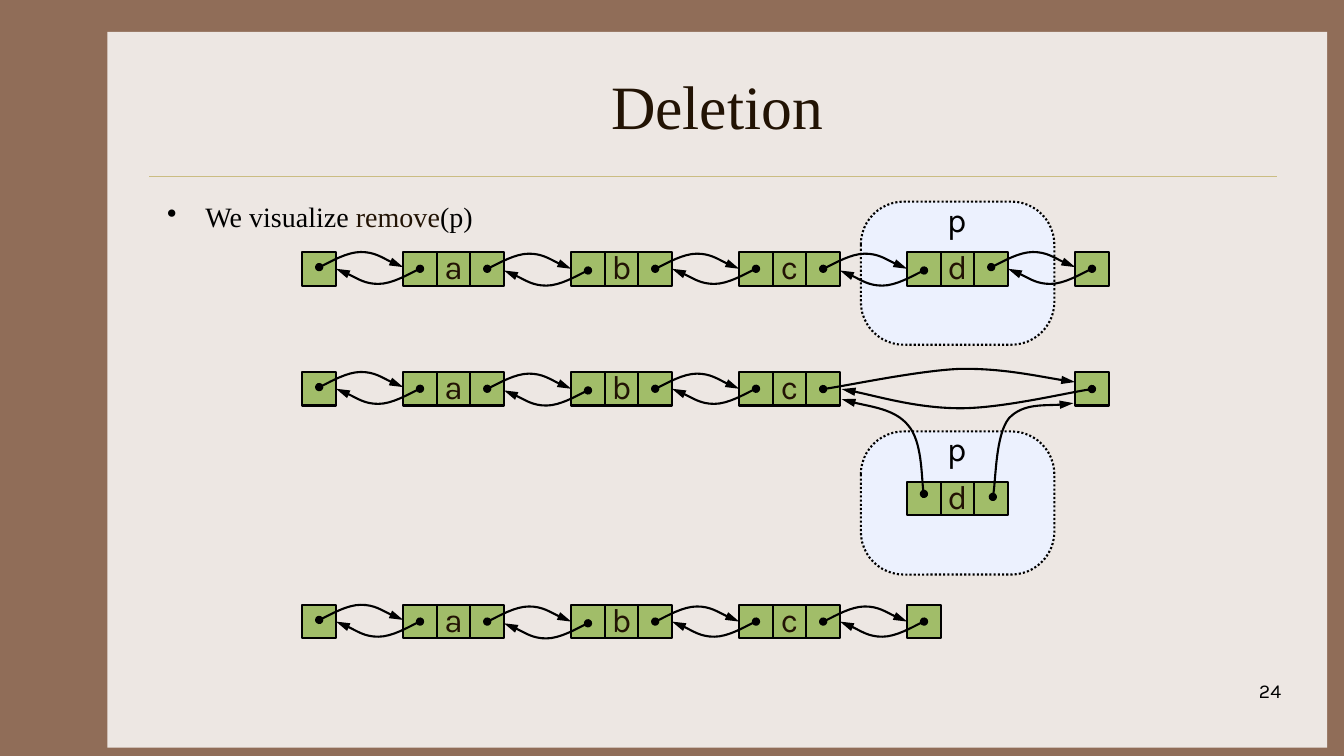
from dataclasses import dataclass

from lxml.etree import SubElement
from pptx import Presentation
from pptx.dml.color import RGBColor
from pptx.enum.dml import MSO_LINE_DASH_STYLE as Dash
from pptx.enum.shapes import MSO_CONNECTOR as Connector, MSO_SHAPE as Shape
from pptx.enum.text import MSO_ANCHOR as Anchor, PP_ALIGN as Align
from pptx.oxml.ns import qn
from pptx.util import Emu, Inches, Pt

COLOURS = {
    "border": "906D58",
    "paper": "EDE7E3",
    "rule": "CBBD83",
    "ink": "221304",
    "black": "000000",
    "panel": "ECF1FE",
    "cell": "A1BD69",
}
SERIF, SANS = "Times New Roman", "Karla"
COLS, ROWS = 40, 22.5
ARC = [(0, 0), (0.2, -0.08), (0.83, -0.45), (1.24, -0.45), (1.65, -0.45), (2.24, -0.08), (2.5, 0)]

Point = tuple[float, float]


@dataclass
class Node:
    col: float
    row: float
    label: str = ""


@dataclass
class Link:
    col: float
    row: float
    out: float = 0.5
    back: float = 0.5


@dataclass
class Panel:
    col: float
    row: float


@dataclass
class Label:
    text: str
    col: float
    row: float
    width: float
    height: float
    size: int
    font: str = SANS
    colour: str = "black"
    align: Align = Align.CENTER
    anchor: Anchor = Anchor.TOP
    wrap: bool = True


def grid(n: float) -> Emu:
    return Inches(n / 3)


def rgb(name: str) -> RGBColor:
    return RGBColor.from_string(COLOURS[name])


def draw_box(shapes, kind: Shape, col: float, row: float, width: float, height: float,
             fill: str, outlined: bool = True):
    sp = shapes.add_shape(kind, grid(col), grid(row), grid(width), grid(height))
    sp.shadow.inherit = False
    sp.fill.solid()
    sp.fill.fore_color.rgb = rgb(fill)
    if outlined:
        sp.line.color.rgb = rgb("black")
        sp.line.width = Pt(1.5)
    else:
        sp.line.fill.background()
    return sp


def style_run(r, size: int, font: str, colour: str) -> None:
    r.font.size = Pt(size)
    r.font.name = font
    r.font.color.rgb = rgb(colour)


def draw_label(shapes, label: Label) -> None:
    sp = shapes.add_textbox(grid(label.col), grid(label.row), grid(label.width), grid(label.height))
    tf = sp.text_frame
    tf.word_wrap = label.wrap
    tf.vertical_anchor = label.anchor
    tf.text = label.text
    p = tf.paragraphs[0]
    p.alignment = label.align
    style_run(p.runs[0], label.size, label.font, label.colour)


def draw_letter(shapes, text: str, centre: float, row: float, colour: str) -> None:
    draw_label(shapes, Label(text, centre - 0.6, row, 1.2, 1.5, 24, colour=colour, wrap=False))


def draw_bullet(shapes, parts: list[tuple[str, str]]) -> None:
    sp = shapes.add_textbox(grid(4.68), grid(5.8), grid(33.33), grid(13.5))
    tf = sp.text_frame
    tf.word_wrap = True
    p = tf.paragraphs[0]
    pPr = p._p.get_or_add_pPr()
    pPr.set("marL", str(Inches(0.38)))
    pPr.set("indent", str(-Inches(0.38)))
    SubElement(pPr, qn("a:buChar"), char="•")
    for text, colour in parts:
        r = p.add_run()
        r.text = text
        style_run(r, 20, SERIF, colour)


def draw_node(shapes, node: Node) -> None:
    for i in range(3 if node.label else 1):
        draw_box(shapes, Shape.RECTANGLE, node.col + i, node.row, 1, 1, "cell")
    if node.label:
        draw_letter(shapes, node.label, node.col + 1.5, node.row - 0.32, "ink")


def draw_panel(shapes, panel: Panel) -> None:
    sp = draw_box(shapes, Shape.ROUNDED_RECTANGLE, panel.col, panel.row, 5.76, 4.26, "panel")
    sp.adjustments[0] = 0.3
    sp.line.dash_style = Dash.ROUND_DOT
    draw_letter(shapes, "p", panel.col + 2.85, panel.row - 0.24, "black")


def draw_curve(shapes, points: list[Point]) -> None:
    start, *rest = [(grid(x), grid(y)) for x, y in points]
    builder = shapes.build_freeform(*start)
    builder.add_line_segments(rest, close=False)
    sp = builder.convert_to_shape()
    sp.shadow.inherit = False
    sp.fill.background()
    sp.line.color.rgb = rgb("black")
    sp.line.width = Pt(1.5)
    spPr = sp._element.spPr
    outline = next(spPr.iter(qn("a:path")))
    segments = outline.findall(qn("a:lnTo"))
    for i in range(0, len(segments), 3):
        bezier = SubElement(outline, qn("a:cubicBezTo"))
        for segment in segments[i:i + 3]:
            bezier.append(segment[0])
            outline.remove(segment)
    ln = spPr.find(qn("a:ln"))
    SubElement(ln, qn("a:headEnd"), type="oval", w="med", len="med")
    SubElement(ln, qn("a:tailEnd"), type="triangle", w="med", len="lg")


def draw_link(shapes, link: Link) -> None:
    draw_curve(shapes, [(link.col - 0.5 + x, link.row + link.out + y) for x, y in ARC])
    draw_curve(shapes, [(link.col + 2.5 - x, link.row + link.back - y) for x, y in ARC])


def main() -> None:
    prs = Presentation()
    prs.slide_width, prs.slide_height = grid(COLS), grid(ROWS)
    slide = prs.slides.add_slide(prs.slide_layouts[6])
    slide.background.fill.solid()
    slide.background.fill.fore_color.rgb = rgb("border")
    shapes = slide.shapes

    draw_box(shapes, Shape.RECTANGLE, 3.2, 0.95, 36.3, 21.3, "paper", outlined=False)
    rule = shapes.add_connector(Connector.STRAIGHT, grid(4.45), grid(5.25), grid(38), grid(5.25))
    rule.line.color.rgb = rgb("rule")
    rule.line.width = Pt(0.25)
    SubElement(rule._element.spPr, qn("a:effectLst"))
    draw_label(shapes, Label("Deletion", 4.68, 1.25, 33.33, 3.75, 44, SERIF, "ink",
                             anchor=Anchor.MIDDLE))
    draw_bullet(shapes, [("We visualize ", "black"), ("remove", "ink"), ("(p)", "black")])
    draw_label(shapes, Label("24", 30.1, 20.05, 8.33, 1.5, 14, align=Align.RIGHT))

    before, during, after = 7.5, 11.07, 18
    for panel in (Panel(25.62, 6), Panel(25.62, 12.84)):
        draw_panel(shapes, panel)
    for row, trailer in ((before, 32), (during, 32), (after, 27)):
        nodes = [Node(9, row), Node(12, row, "a"), Node(17, row, "b"), Node(22, row, "c")]
        for node in nodes + [Node(trailer, row)]:
            draw_node(shapes, node)
        for link in (Link(10, row, out=0.45), Link(15, row, back=0.55), Link(20, row)):
            draw_link(shapes, link)
    for node in (Node(27, before, "d"), Node(27, 14.34, "d")):
        draw_node(shapes, node)
    for link in (Link(25, before, back=0.55), Link(30, before, out=0.45), Link(25, after)):
        draw_link(shapes, link)

    bypasses = [
        [(24.5, 11.58), (25.17, 11.49), (27.3, 11.04), (28.53, 10.98),
         (29.79, 10.95), (31.29, 11.28), (32, 11.37)],
        [(32.5, 11.58), (31.83, 11.67), (29.82, 12.15), (28.59, 12.15),
         (27.33, 12.15), (25.77, 11.7), (25.05, 11.58)],
        [(27.5, 14.7), (27.42, 14.37), (27.45, 13.14), (27.03, 12.66),
         (26.64, 12.18), (25.47, 12.03), (25.05, 11.88)],
        [(29.55, 14.79), (29.64, 14.4), (29.64, 12.93), (30.03, 12.45),
         (30.45, 12), (31.56, 12.09), (31.95, 12)],
    ]
    for points in bypasses:
        draw_curve(shapes, points)
    prs.save("out.pptx")


if __name__ == "__main__":
    main()
